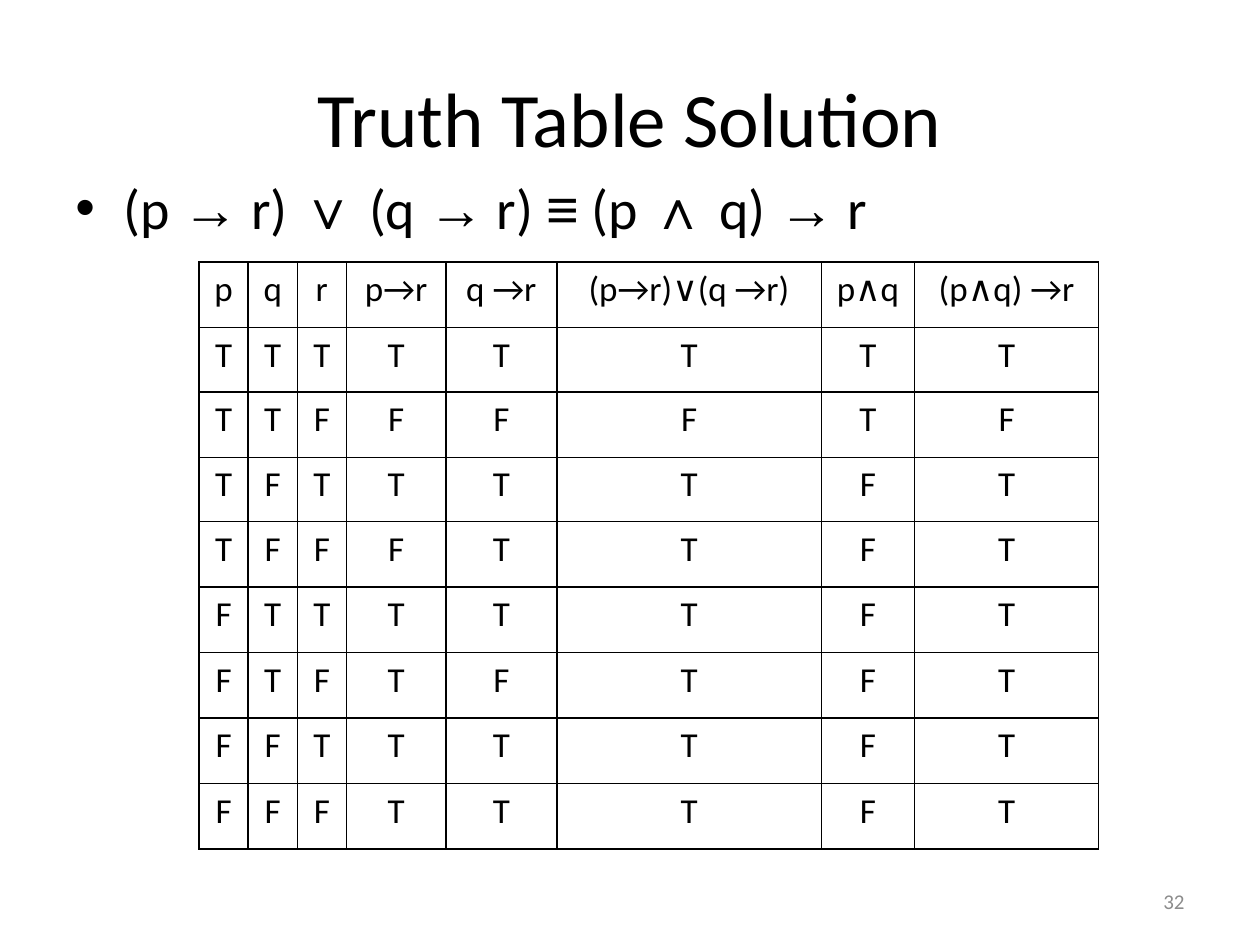
from itertools import product

from lxml import etree
from pptx import Presentation
from pptx.dml.color import RGBColor
from pptx.enum.text import MSO_ANCHOR, PP_ALIGN
from pptx.oxml.ns import qn
from pptx.util import Inches, Pt

BLACK = RGBColor(0x00, 0x00, 0x00)
GRAY = RGBColor(0x8C, 0x8C, 0x8C)
LEFT, CENTER, RIGHT = PP_ALIGN.LEFT, PP_ALIGN.CENTER, PP_ALIGN.RIGHT
TOP, MIDDLE = MSO_ANCHOR.TOP, MSO_ANCHOR.MIDDLE

TEXT_FONT = "Calibri"
SYMBOL_FONT = "Arial"
FORMULA = ["(p ", "→", " r) ", "∨", " (q ", "→", " r) ", "≡",
           " (p ", "∧", " q) ", "→", " r"]

HEADERS = ["p", "q", "r", "p→r", "q →r", "(p→r)∨(q →r)", "p∧q", "(p∧q) →r"]
COLUMN_WIDTHS = [0.39, 0.39, 0.39, 0.79, 0.88, 2.1, 0.74, 1.46]
ROW_HEIGHTS = [0.52, 0.51, 0.52, 0.51, 0.52, 0.52, 0.52, 0.52, 0.52]


def style_font(font, size, color=BLACK, name=TEXT_FONT):
    font.size = Pt(size)
    font.name = name
    font.color.rgb = color


def add_text(page, area, text, size, align=LEFT, anchor=TOP, color=BLACK):
    box = page.shapes.add_textbox(*(Inches(length) for length in area))
    frame = box.text_frame
    frame.word_wrap = True
    frame.vertical_anchor = anchor
    para = frame.paragraphs[0]
    para.text = text
    para.alignment = align
    for span in para.runs:
        style_font(span.font, size, color)
    return para


def add_formula(page, area, parts, size):
    para = add_text(page, area, "", size)
    # Hanging bullet
    properties = para._p.get_or_add_pPr()
    properties.set("marL", str(Inches(0.38)))
    properties.set("indent", str(Inches(-0.38)))
    etree.SubElement(properties, qn("a:buFont"), typeface=SYMBOL_FONT)
    etree.SubElement(properties, qn("a:buChar"), char="•")
    # Words and logic symbols alternate
    for index, part in enumerate(parts):
        span = para.add_run()
        span.text = part
        style_font(span.font, size, name=SYMBOL_FONT if index % 2 else TEXT_FONT)


def add_borders(cell):
    properties = cell._tc.get_or_add_tcPr()
    for position, side in enumerate(("lnL", "lnR", "lnT", "lnB")):
        line = etree.Element(qn(f"a:{side}"), w=str(Pt(1)))
        fill = etree.SubElement(line, qn("a:solidFill"))
        etree.SubElement(fill, qn("a:srgbClr"), val=str(BLACK))
        properties.insert(position, line)


def truth_rows():
    rows = []
    for p, q, r in product((True, False), repeat=3):
        p_to_r = not p or r
        q_to_r = not q or r
        both = p and q
        values = [p, q, r, p_to_r, q_to_r, p_to_r or q_to_r, both, not both or r]
        rows.append(["T" if value else "F" for value in values])
    return rows


def add_truth_table(page, left, top):
    rows = [HEADERS] + truth_rows()
    table = page.shapes.add_table(
        len(rows), len(HEADERS), Inches(left), Inches(top),
        Inches(sum(COLUMN_WIDTHS)), Inches(sum(ROW_HEIGHTS))).table
    table.first_row = False
    table.horz_banding = False
    for column, width in zip(table.columns, COLUMN_WIDTHS):
        column.width = Inches(width)
    for row, height, texts in zip(table.rows, ROW_HEIGHTS, rows):
        row.height = Inches(height)
        for cell, text in zip(row.cells, texts):
            cell.fill.background()
            add_borders(cell)
            para = cell.text_frame.paragraphs[0]
            para.text = text
            para.alignment = CENTER
            style_font(para.runs[0].font, 20)


def main():
    deck = Presentation()
    deck.slide_width = Inches(10)
    deck.slide_height = Inches(7.5)
    page = deck.slides.add_slide(deck.slide_layouts[6])

    # Title and formula
    add_text(page, (0.5, 0.3, 9, 1.25), "Truth Table Solution", 44, CENTER, MIDDLE)
    add_formula(page, (0.5, 1.33, 9, 5.37), FORMULA, 32)

    # Truth table
    add_truth_table(page, 1.58, 2.08)

    # Page number
    add_text(page, (7.17, 6.95, 2.33, 0.4), "32", 12, RIGHT, MIDDLE, GRAY)

    deck.save("out.pptx")


if __name__ == "__main__":
    main()
